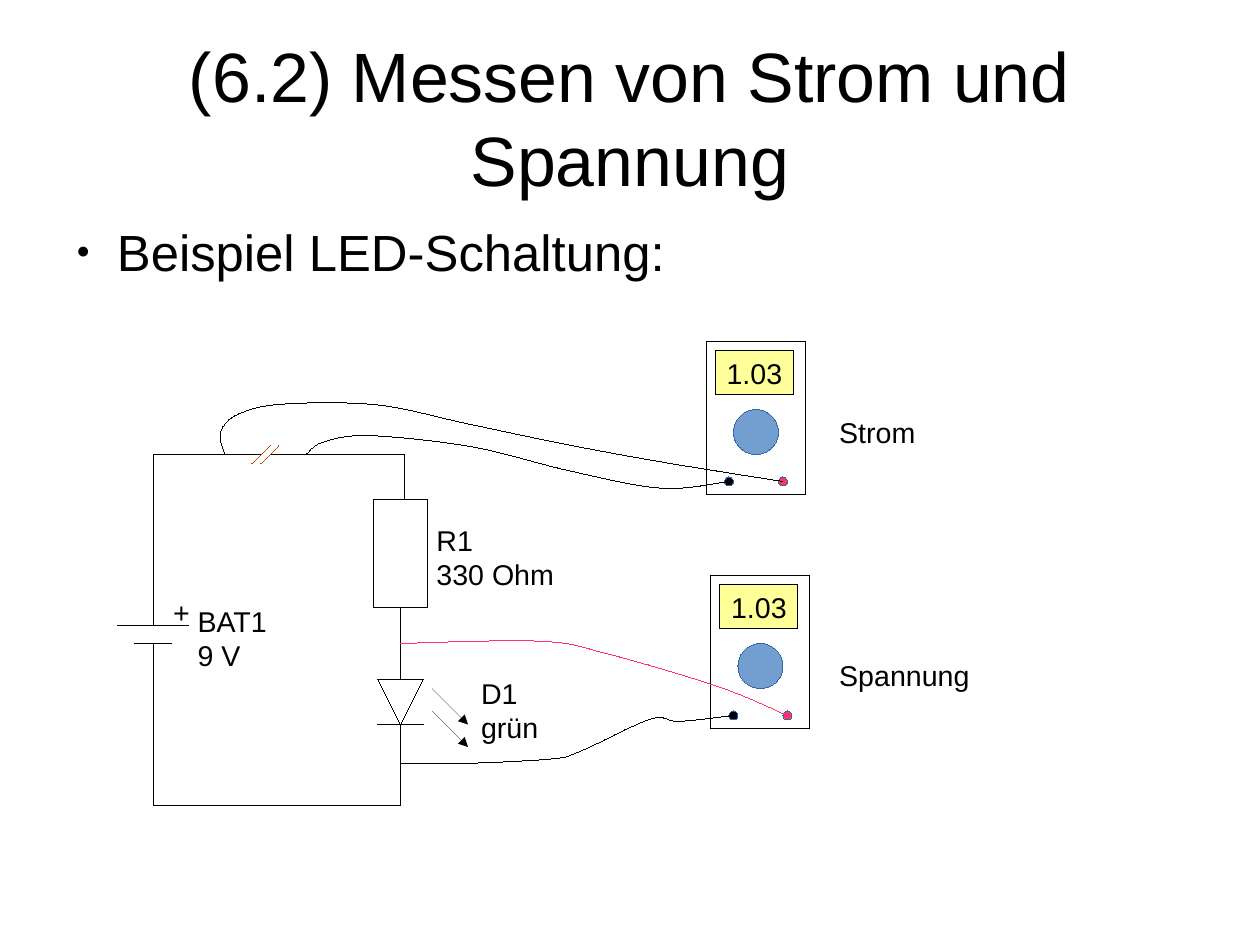
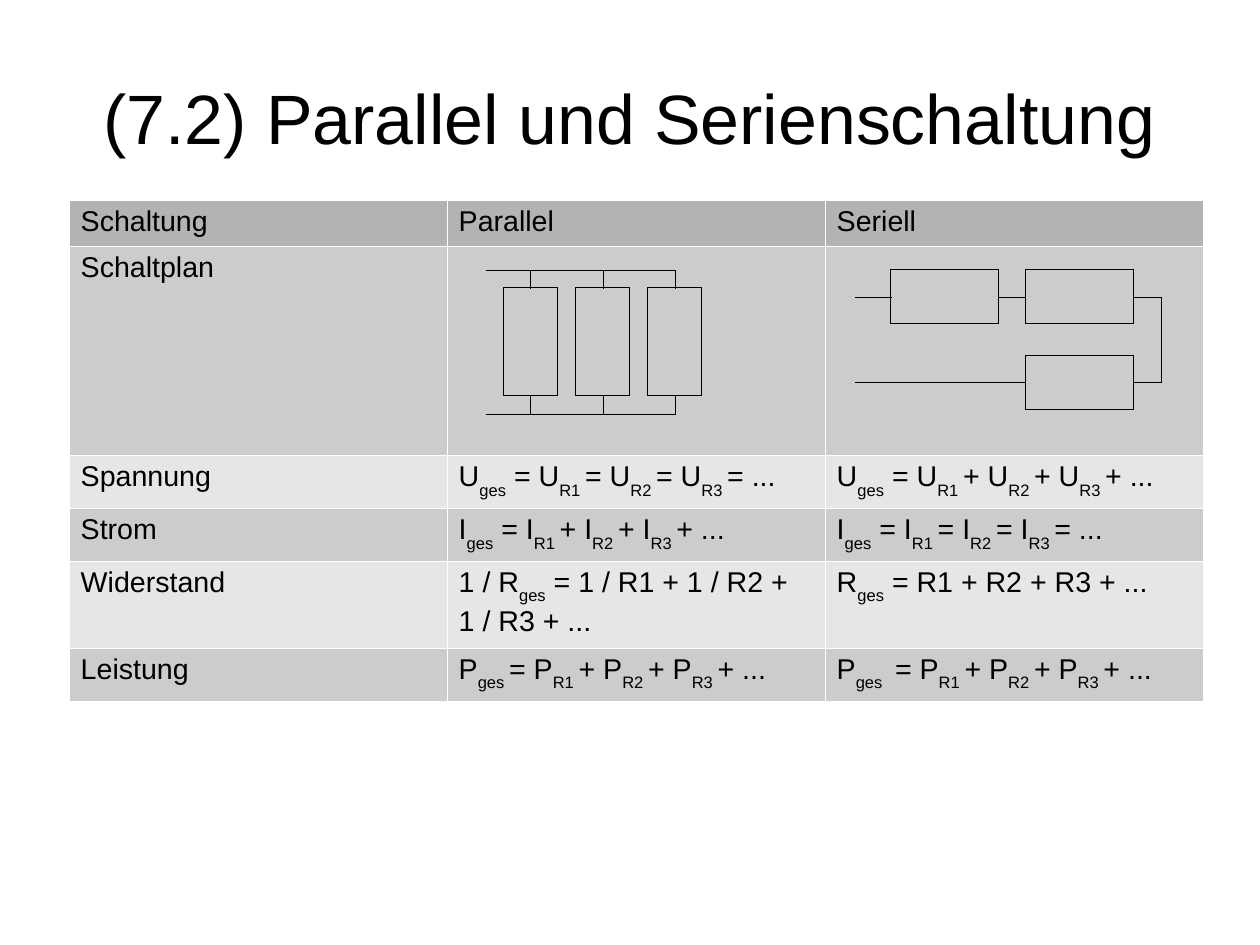
"""Two slides, laid out in millimetres: measuring an LED circuit, parallel and series circuits."""
from lxml import etree
from pptx import Presentation
from pptx.dml.color import RGBColor
from pptx.enum.shapes import MSO_CONNECTOR, MSO_SHAPE
from pptx.enum.text import MSO_ANCHOR, PP_ALIGN
from pptx.oxml.ns import qn
from pptx.util import Mm, Pt

RECT, OVAL, TRIANGLE = MSO_SHAPE.RECTANGLE, MSO_SHAPE.OVAL, MSO_SHAPE.ISOSCELES_TRIANGLE
STRAIGHT = MSO_CONNECTOR.STRAIGHT
LEFT, CENTER = PP_ALIGN.LEFT, PP_ALIGN.CENTER
TOP, MIDDLE = MSO_ANCHOR.TOP, MSO_ANCHOR.MIDDLE

FONT = "Arial"
BLACK, WHITE, RED, ORANGE = "000000", "FFFFFF", "FF3366", "B84700"
DISPLAY, KNOB, KNOB_EDGE = "FFFF99", "729FCF", "3465A4"
HEADER, DARK_ROW, LIGHT_ROW = "B3B3B3", "CCCCCC", "E6E6E6"

SLIDE_SIZE = (280, 210)
TITLE_BOX = (14, 8.4, 252, 35)
BULLET_BOX = (14, 49, 252, 120)
RESISTOR_WIDTH, RESISTOR_LENGTH = 12, 24

MEASURING_TITLE = "(6.2) Messen von Strom und Spannung"
BULLET = "Beispiel LED-Schaltung:"
COMPONENT_LABELS = [
    ("+", 36, 131, 9),
    ("R1\n330 Ohm", 94.5, 115, 33),
    ("BAT1\n9 V", 41.4, 133, 23),
    ("D1\ngrün", 104.4, 149, 20),
]

BATTERY_X, BRANCH_X, FEED_X = 34, 89, 90
UPPER_Y, LOWER_Y = 101, 179
PLUS_Y, MINUS_Y = 139, 143
PLUS_HALF, MINUS_HALF = 8, 4
RESISTOR_Y = 111
DIODE_Y, DIODE_SIZE = 151, 10
CATHODE_Y = DIODE_Y + DIODE_SIZE
GAP_LEFT, GAP_RIGHT, BREAK_RISE = 58, 60, 4
RAY_X, RAY_LENGTH, RAY_TOPS = 96, 8, (153, 158)

READING = "1.03"
SOCKET_SIZE = 2
SOCKETS = {BLACK: (4, 30), RED: (16, 30)}
METERS = {
    "Spannung": {"corner": (158, 128), "label": (184, 145, 36)},
    "Strom": {"corner": (157, 76), "label": (184, 91, 32)},
}
PROBES = [
    {"meter": "Spannung", "socket": BLACK, "color": BLACK, "tap": (BRANCH_X, 169.7),
     "bends": [(151, 160.3), (144.5, 159.8), (128.8, 167), (122, 168.7), (102, 169.7)]},
    {"meter": "Spannung", "socket": RED, "color": RED, "tap": (BRANCH_X, 143),
     "bends": [(160, 152.7), (135, 145.3), (120, 142.5)]},
    {"meter": "Strom", "socket": RED, "color": BLACK, "tap": (50, UPPER_Y),
     "bends": [(149, 103), (127, 99), (104, 94.2), (84, 90), (63, 89.8), (53, 92), (49, 96)]},
    {"meter": "Strom", "socket": BLACK, "color": BLACK, "tap": (68, UPPER_Y),
     "bends": [(147, 108.5), (126.5, 104.6), (105, 99.3), (82, 96.8), (71.6, 98.3)]},
]
CURVE_STEPS = 8


def chain(symbol, operator, total="{ges} = "):
    """Write the formula for a total over three resistors."""
    terms = "".join(f"{symbol}{{R{i} }}{operator} " for i in (1, 2, 3))
    return f"{symbol}{total}{terms}..."


COMPARISON_TITLE = "(7.2) Parallel und Serienschaltung"
TABLE_CORNER, COLUMN_WIDTH = (15.4, 44.5), 84
COMPARISON = [
    (10.2, "Schaltung", "Parallel", "Seriell"),
    (46.4, "Schaltplan", "", ""),
    (11.8, "Spannung", chain("U", "="), chain("U", "+")),
    (11.6, "Strom", chain("I", "+"), chain("I", "=")),
    (19.3, "Widerstand", "1 / R{ges} = 1 / R1 + 1 / R2 +\n1 / R3 + ...", "R{ges} = R1 + R2 + R3 + ..."),
    (11.8, "Leistung", chain("P", "+", "{ges }= "), chain("P", "+", "{ges } = ")),
]
PARALLEL_COUNT, PARALLEL_X, PARALLEL_Y, PARALLEL_STEP = 3, 112, 64, 16
RAIL_START, RAIL_GAP = 108, 4
SERIES_START, SERIES_FIRST, SERIES_SECOND, SERIES_TURN = 190, 198, 228, 258
FORWARD_Y, RETURN_Y = 66, 85


def rgb(value):
    return RGBColor.from_string(value)


def mm(values):
    return [Mm(value) for value in values]


def add_bullet(paragraph):
    props = paragraph._p.get_or_add_pPr()
    props.set("marL", str(Mm(12)))
    props.set("indent", str(Mm(-9)))
    for tag, key, value in (("buSzPct", "val", "45000"), ("buFont", "typeface", FONT), ("buChar", "char", "●")):
        etree.SubElement(props, qn(f"a:{tag}")).set(key, value)


def write(frame, text, size=18, align=LEFT, anchor=TOP, insets=(2.54, 1.27), bullet=False):
    """Fill a frame; text in braces becomes subscript."""
    frame.word_wrap = True
    frame.vertical_anchor = anchor
    frame.margin_left = frame.margin_right = Mm(insets[0])
    frame.margin_top = frame.margin_bottom = Mm(insets[1])
    for i, line in enumerate(text.split("\n")):
        paragraph = frame.add_paragraph() if i else frame.paragraphs[0]
        paragraph.alignment = align
        if bullet:
            add_bullet(paragraph)
        for j, part in enumerate(line.replace("}", "{").split("{")):
            if not part:
                continue
            run = paragraph.add_run()
            run.text = part
            run.font.size, run.font.name = Pt(size), FONT
            run.font.color.rgb = rgb(BLACK)
            if j % 2:
                run.font._element.set("baseline", "-33000")


def add_text(slide, box, text, **style):
    write(slide.shapes.add_textbox(*mm(box)).text_frame, text, **style)


def add_label(slide, text, x, y, width):
    add_text(slide, (x, y, width, 9.6 + 7.1 * text.count("\n")), text)


def draw_hairline(item, color):
    """Give a shape or connector the thinnest line and return its XML."""
    item.line.color.rgb = rgb(color)
    line = item._element.spPr.find(qn("a:ln"))
    line.set("w", "0")
    return line


def finish_shape(shape, fill=None, edge=BLACK):
    shape.shadow.inherit = False
    if fill:
        shape.fill.solid()
        shape.fill.fore_color.rgb = rgb(fill)
    else:
        shape.fill.background()
    draw_hairline(shape, edge)


def add_part(shapes, kind, box, fill=None, edge=BLACK, text=""):
    shape = shapes.add_shape(kind, *mm(box))
    finish_shape(shape, fill, edge)
    if text:
        write(shape.text_frame, text, align=CENTER, anchor=MIDDLE, insets=(0, 0))
    return shape


def add_path(slide, *corners, color=BLACK, arrow=False):
    """Join the corners one after another with straight lines."""
    for start, end in zip(corners, corners[1:]):
        connector = slide.shapes.add_connector(STRAIGHT, *mm(start + end))
        line = draw_hairline(connector, color)
        if arrow:
            etree.SubElement(line, qn("a:tailEnd")).set("type", "triangle")
        etree.SubElement(connector._element.spPr, qn("a:effectLst"))


def smooth(knots):
    """Return points on a Catmull-Rom curve through the knots."""
    padded = [knots[0], *knots, knots[-1]]
    points = [knots[0]]
    for quad in zip(padded, padded[1:], padded[2:], padded[3:]):
        for step in range(1, CURVE_STEPS + 1):
            t = step / CURVE_STEPS
            points.append(tuple(
                b + t * (c - a) / 2 + t ** 2 * (2 * a - 5 * b + 4 * c - d) / 2
                + t ** 3 * (3 * b - a - 3 * c + d) / 2
                for a, b, c, d in zip(*quad)))
    return points


def add_probe(slide, meter, socket, color, tap, bends):
    plug = tuple(corner + offset + SOCKET_SIZE / 2
                 for corner, offset in zip(METERS[meter]["corner"], SOCKETS[socket]))
    start, *rest = [mm(point) for point in smooth([plug, *bends, tap])]
    wire = slide.shapes.build_freeform(*start)
    wire.add_line_segments(rest, close=False)
    finish_shape(wire.convert_to_shape(), edge=color)


def add_meter(slide, x, y):
    parts = slide.shapes.add_group_shape().shapes
    add_part(parts, RECT, (x, y, 22, 34))
    add_part(parts, RECT, (x + 2, y + 2, 17.3, 9.7), DISPLAY, text=READING)
    add_part(parts, OVAL, (x + 6, y + 15, 10, 10), KNOB, KNOB_EDGE)
    for color, (dx, dy) in SOCKETS.items():
        add_part(parts, OVAL, (x + dx, y + dy, SOCKET_SIZE, SOCKET_SIZE), color, KNOB_EDGE)


def add_titled_slide(deck, title):
    slide = deck.slides.add_slide(deck.slide_layouts[6])
    add_text(slide, TITLE_BOX, title, size=44, align=CENTER, anchor=MIDDLE, insets=(0, 0))
    return slide


def add_led_circuit(slide):
    for y, half in ((PLUS_Y, PLUS_HALF), (MINUS_Y, MINUS_HALF)):
        add_path(slide, (BATTERY_X - half, y), (BATTERY_X + half, y))
    add_path(slide, (BATTERY_X, PLUS_Y), (BATTERY_X, UPPER_Y), (GAP_LEFT, UPPER_Y))
    add_path(slide, (GAP_RIGHT, UPPER_Y), (FEED_X, UPPER_Y), (FEED_X, RESISTOR_Y))
    add_path(slide, (BRANCH_X, RESISTOR_Y + RESISTOR_LENGTH), (BRANCH_X, DIODE_Y))
    add_path(slide, (BRANCH_X, CATHODE_Y), (BRANCH_X, LOWER_Y), (BATTERY_X, LOWER_Y), (BATTERY_X, MINUS_Y))
    add_part(slide.shapes, RECT, (BRANCH_X - RESISTOR_WIDTH / 2, RESISTOR_Y, RESISTOR_WIDTH, RESISTOR_LENGTH))
    diode_left = BRANCH_X - DIODE_SIZE / 2
    add_part(slide.shapes, TRIANGLE, (diode_left, DIODE_Y, DIODE_SIZE, DIODE_SIZE)).rotation = 180
    add_path(slide, (diode_left, CATHODE_Y), (diode_left + DIODE_SIZE, CATHODE_Y))
    for y in RAY_TOPS:
        add_path(slide, (RAY_X, y), (RAY_X + RAY_LENGTH, y + RAY_LENGTH), arrow=True)
    half = BREAK_RISE / 2
    for x in (GAP_LEFT, GAP_RIGHT):
        add_path(slide, (x - half, UPPER_Y + half), (x + half, UPPER_Y - half), color=ORANGE)


def build_measuring(deck):
    slide = add_titled_slide(deck, MEASURING_TITLE)
    add_text(slide, BULLET_BOX, BULLET, size=32, insets=(0, 0), bullet=True)
    add_led_circuit(slide)
    for label in COMPONENT_LABELS:
        add_label(slide, *label)
    for quantity, meter in METERS.items():
        add_meter(slide, *meter["corner"])
        add_label(slide, quantity, *meter["label"])
    for probe in PROBES:
        add_probe(slide, **probe)


def paint_cell(cell, fill):
    props = cell._tc.get_or_add_tcPr()
    for side in ("lnL", "lnR", "lnT", "lnB"):
        border = etree.SubElement(props, qn(f"a:{side}"), w="762")
        solid = etree.SubElement(border, qn("a:solidFill"))
        etree.SubElement(solid, qn("a:srgbClr"), val=WHITE)
    cell.fill.solid()
    cell.fill.fore_color.rgb = rgb(fill)


def add_comparison(slide):
    columns = len(COMPARISON[0]) - 1
    size = (columns * COLUMN_WIDTH, sum(row[0] for row in COMPARISON))
    table = slide.shapes.add_table(len(COMPARISON), columns, *mm(TABLE_CORNER + size)).table
    table.first_row = table.horz_banding = False
    for r, (height, *texts) in enumerate(COMPARISON):
        table.rows[r].height = Mm(height)
        fill = HEADER if r == 0 else DARK_ROW if r % 2 else LIGHT_ROW
        for c, text in enumerate(texts):
            paint_cell(table.cell(r, c), fill)
            write(table.cell(r, c).text_frame, text)


def add_parallel_plan(slide):
    lefts = [PARALLEL_X + i * PARALLEL_STEP for i in range(PARALLEL_COUNT)]
    middles = [left + RESISTOR_WIDTH / 2 for left in lefts]
    for left in lefts:
        add_part(slide.shapes, RECT, (left, PARALLEL_Y, RESISTOR_WIDTH, RESISTOR_LENGTH))
    for end, gap in ((PARALLEL_Y, -RAIL_GAP), (PARALLEL_Y + RESISTOR_LENGTH, RAIL_GAP)):
        add_path(slide, (RAIL_START, end + gap), (middles[-1], end + gap))
        for x in middles:
            add_path(slide, (x, end), (x, end + gap))


def add_series_plan(slide):
    for x, y in ((SERIES_FIRST, FORWARD_Y), (SERIES_SECOND, FORWARD_Y), (SERIES_SECOND, RETURN_Y)):
        add_part(slide.shapes, RECT, (x, y - RESISTOR_WIDTH / 2, RESISTOR_LENGTH, RESISTOR_WIDTH))
    first_end, second_end = SERIES_FIRST + RESISTOR_LENGTH, SERIES_SECOND + RESISTOR_LENGTH
    add_path(slide, (SERIES_START, FORWARD_Y), (SERIES_FIRST, FORWARD_Y))
    add_path(slide, (first_end, FORWARD_Y), (SERIES_SECOND, FORWARD_Y))
    add_path(slide, (second_end, FORWARD_Y), (SERIES_TURN, FORWARD_Y), (SERIES_TURN, RETURN_Y), (second_end, RETURN_Y))
    add_path(slide, (SERIES_SECOND, RETURN_Y), (SERIES_START, RETURN_Y))


def build_comparison(deck):
    slide = add_titled_slide(deck, COMPARISON_TITLE)
    add_comparison(slide)
    add_parallel_plan(slide)
    add_series_plan(slide)


def main():
    deck = Presentation()
    deck.slide_width, deck.slide_height = mm(SLIDE_SIZE)
    build_measuring(deck)
    build_comparison(deck)
    deck.save("out.pptx")


if __name__ == "__main__":
    main()
